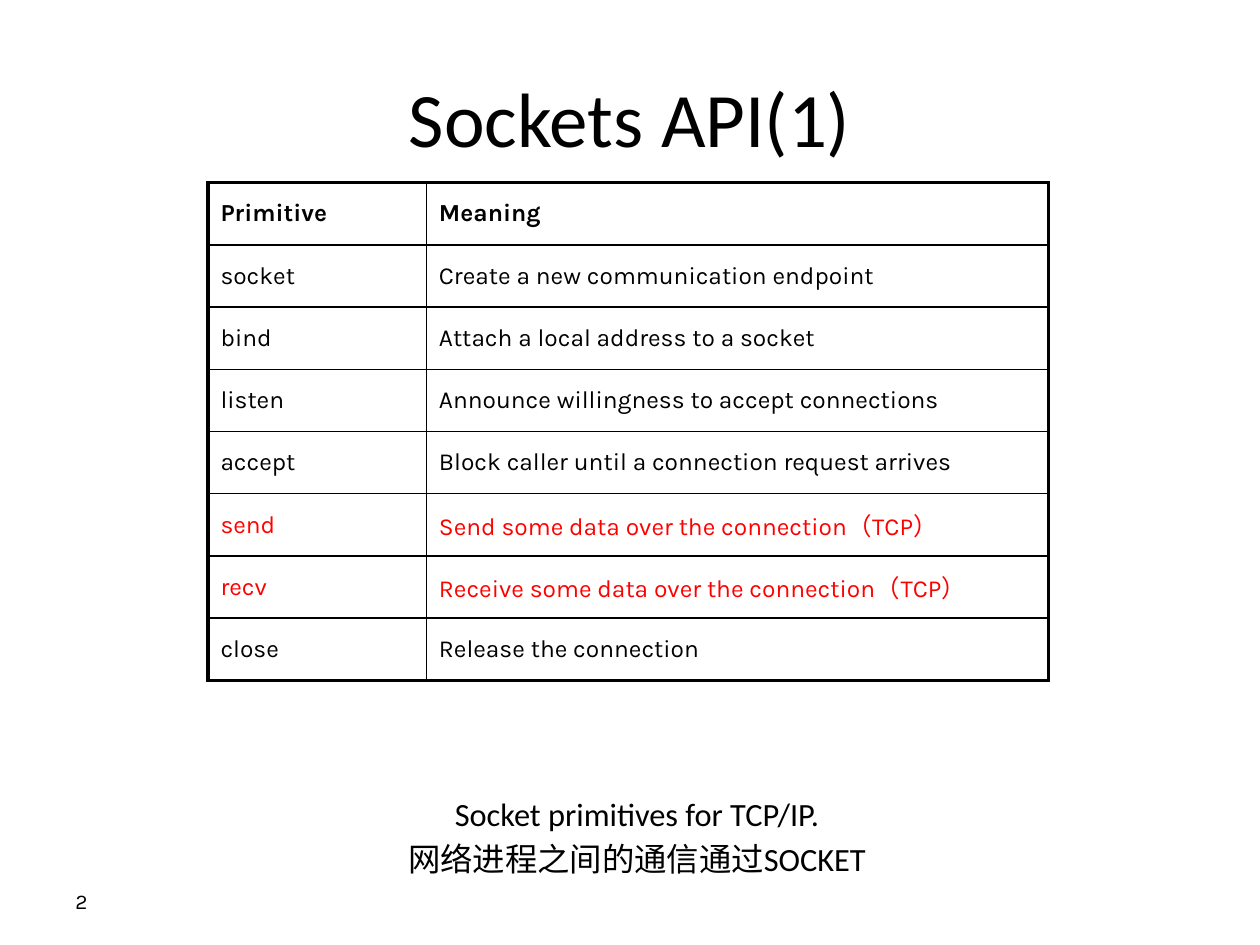
from lxml.etree import SubElement
from pptx import Presentation
from pptx.dml.color import RGBColor
from pptx.enum.text import MSO_ANCHOR as Anchor, PP_ALIGN as Align
from pptx.oxml.ns import qn
from pptx.util import Inches, Pt

BLACK = RGBColor(0x00, 0x00, 0x00)
RED = RGBColor(0xFF, 0x00, 0x00)
THIN, THICK = 1, 2.25

W, H = Inches(10), Inches(7.5)
MARGIN = W * 0.05

PRIMITIVES = [
    ("Primitive", "Meaning"),
    ("socket", "Create a new communication endpoint"),
    ("bind", "Attach a local address to a socket"),
    ("listen", "Announce willingness to accept connections"),
    ("accept", "Block caller until a connection request arrives"),
    ("send", "Send some data over the connection（TCP）"),
    ("recv", "Receive some data over the connection（TCP）"),
    ("close", "Release the connection"),
]
HIGHLIGHTED = {"send", "recv"}
CAPTION = ["Socket primitives for TCP/IP.", "网络进程之间的通信通过SOCKET"]


def format_runs(p, size, font, color=BLACK, bold=False):
    for r in p.runs:
        r.font.size = Pt(size)
        r.font.name = font
        r.font.color.rgb = color
        r.font.bold = bold


def place(sp, box):
    sp.left, sp.top, sp.width, sp.height = (int(v) for v in box)


def add_title(s, box, text):
    sp = s.shapes.title
    place(sp, box)
    tf = sp.text_frame
    tf.text = text
    tf.vertical_anchor = Anchor.MIDDLE
    tf.paragraphs[0].alignment = Align.CENTER
    format_runs(tf.paragraphs[0], 44, "Calibri")


def add_text(s, box, lines, size, font, align=Align.LEFT, anchor=Anchor.TOP):
    """Add a wrapping text box; later lines are set off by a fifth of the size."""
    tf = s.shapes.add_textbox(*(int(v) for v in box)).text_frame
    tf.word_wrap = True
    tf.vertical_anchor = anchor
    tf.text = "\n".join(lines)
    for i, p in enumerate(tf.paragraphs):
        p.alignment = align
        if i:
            p.space_before = Pt(size * 0.2)
        format_runs(p, size, font)


def set_borders(cell, widths):
    """Draw black cell borders from a mapping of side (L, R, T, B) to points."""
    tc_pr = cell._tc.get_or_add_tcPr()
    for side, width in widths.items():
        ln = SubElement(tc_pr, qn(f"a:ln{side}"), w=str(Pt(width)))
        fill = SubElement(ln, qn("a:solidFill"))
        SubElement(fill, qn("a:srgbClr"), val=str(BLACK))


def add_primitives_table(s, box, rows, shares):
    left, top, width, height = (int(v) for v in box)
    n_rows, n_cols = len(rows), len(shares)
    table = s.shapes.add_table(n_rows, n_cols, left, top, width, height).table
    table.first_row = table.horz_banding = False
    for col, share in zip(table.columns, shares):
        col.width = int(width * share)
    for i, row in enumerate(rows):
        color = RED if row[0] in HIGHLIGHTED else BLACK
        for j, text in enumerate(row):
            cell = table.cell(i, j)
            cell.text = text
            cell.vertical_anchor = Anchor.MIDDLE
            format_runs(cell.text_frame.paragraphs[0], 14, "Karla", color, i == 0)
            outer = {"L": j == 0, "R": j == n_cols - 1,
                     "T": i == 0, "B": i == n_rows - 1}
            set_borders(cell, {side: THICK if edge else THIN
                               for side, edge in outer.items()})
            cell.fill.background()


def main():
    prs = Presentation()
    prs.slide_width, prs.slide_height = W, H
    s = prs.slides.add_slide(prs.slide_layouts[5])
    add_title(s, (MARGIN, H * 0.04, W - 2 * MARGIN, Inches(1.25)), "Sockets API(1)")
    add_primitives_table(s, (W * 0.165, Inches(1.45), W * 0.667, Inches(3.95)),
                         PRIMITIVES, (0.26, 0.74))
    add_text(s, (W * 0.047, Inches(6.25), W * 0.917, Inches(0.73)), CAPTION,
             18.5, "Calibri", Align.CENTER)
    add_text(s, (MARGIN, Inches(6.95), W * 0.233, Inches(0.4)), ["2"],
             12, "Karla", anchor=Anchor.MIDDLE)
    prs.save("out.pptx")


if __name__ == "__main__":
    main()
